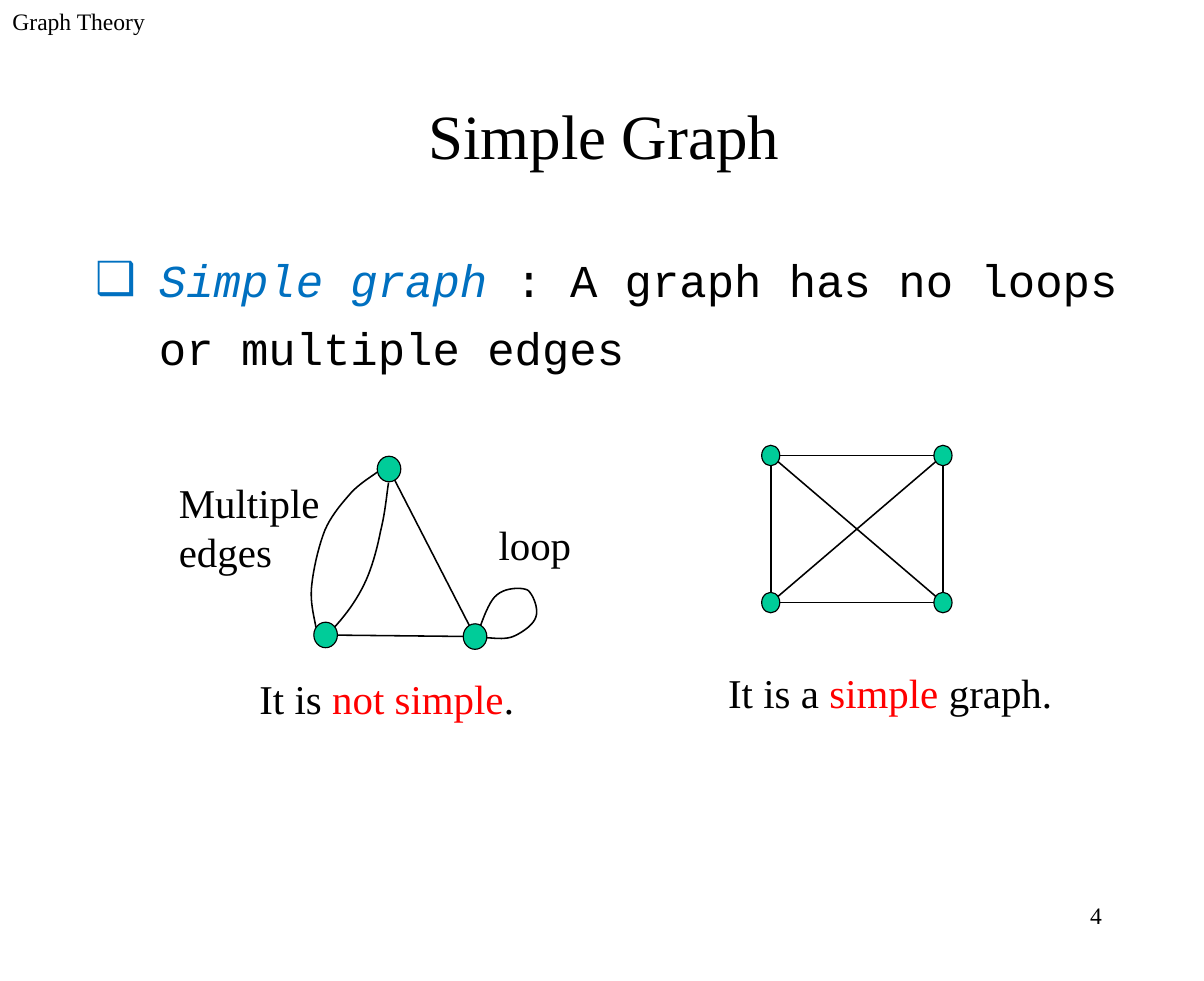
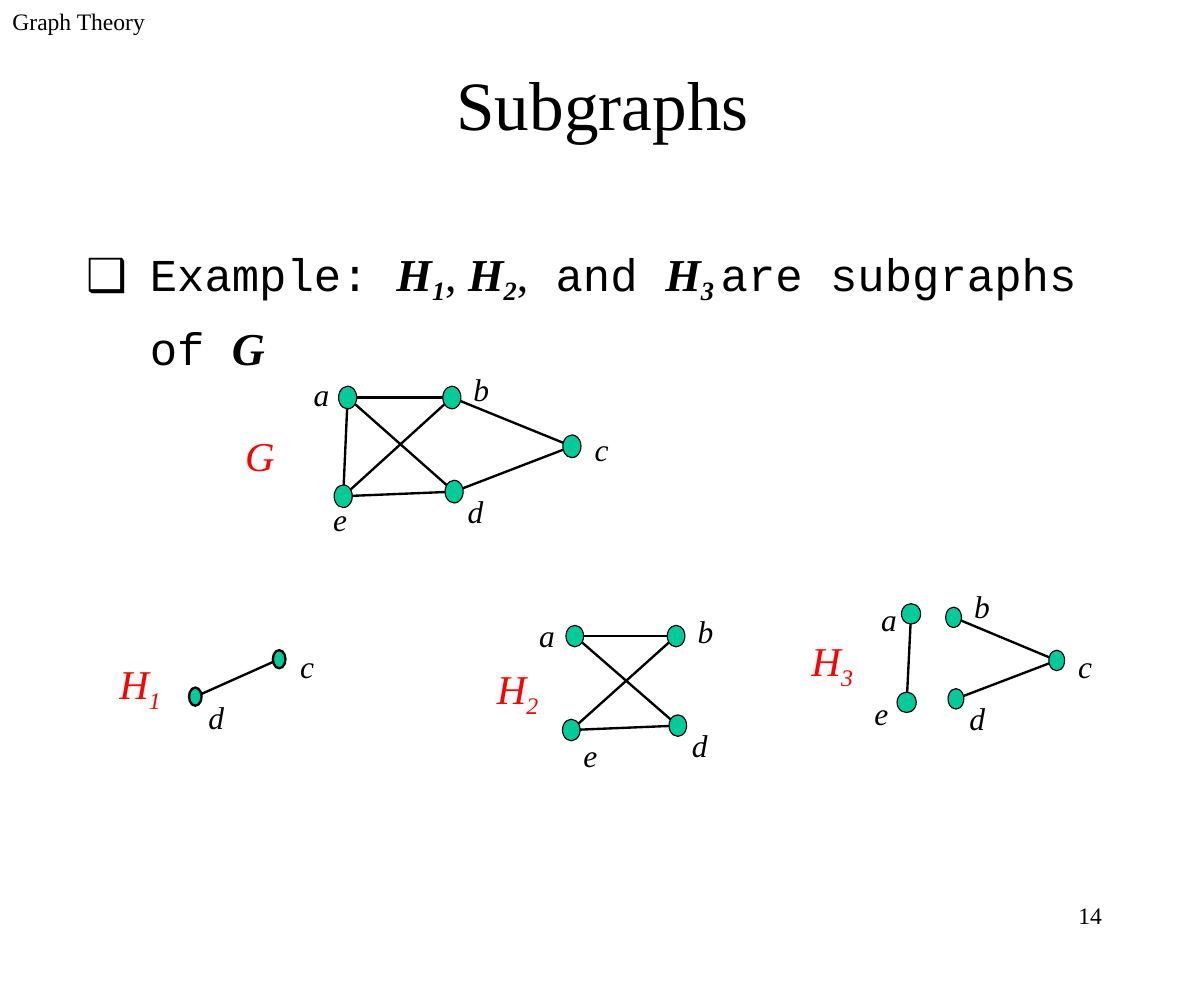
from itertools import combinations

from lxml.etree import SubElement
from pptx import Presentation
from pptx.dml.color import RGBColor
from pptx.enum.shapes import MSO_CONNECTOR as Link, MSO_SHAPE as Shape
from pptx.enum.text import MSO_ANCHOR as Anchor, MSO_AUTO_SIZE as Fit, PP_ALIGN as Align
from pptx.oxml.ns import qn
from pptx.util import Pt

BLACK, RED, BLUE, GREEN = "000000", "FF0000", "0070C0", "00CC99"
SERIF, MONO = "Times New Roman", "Courier New"
INSET_X, INSET_Y = 7.9, 4.3
INDENT = 40.5


def tint(code):
    return RGBColor.from_string(code)


def place(shape, box):
    shape.left, shape.top, shape.width, shape.height = map(Pt, box)


def frame(shape, anchor=Anchor.TOP):
    """Give a text frame the common margins and return its first paragraph."""
    text = shape.text_frame
    text.word_wrap = True
    text.auto_size = Fit.NONE
    text.vertical_anchor = anchor
    text.margin_left = text.margin_right = Pt(INSET_X)
    text.margin_top = text.margin_bottom = Pt(INSET_Y)
    return text.paragraphs[0]


def say(para, text, size, face=SERIF, color=BLACK, bold=False, ital=False, base=0):
    """Add one run; base is the baseline shift in percent."""
    run = para.add_run()
    run.text = text
    font = run.font
    font.size, font.name = Pt(size), face
    font.bold, font.italic = bold, ital
    font.color.rgb = tint(color)
    if base:
        run._r.get_or_add_rPr().set("baseline", str(base * 1000))


def label(slide, box, *runs, size=26, align=Align.LEFT, **look):
    """Text box of one paragraph; each run is a (text, style) pair."""
    para = frame(slide.shapes.add_textbox(*map(Pt, box)))
    para.alignment = align
    for text, style in runs:
        say(para, text, size, **{**look, **style})
    return para


def page(deck, number, title, size, title_box, body_box, mark, runs):
    """Slide with running head, page number, title and one bulleted line."""
    slide = deck.slides.add_slide(deck.slide_layouts[1])
    label(slide, (0, 0, 160, 42), ("Graph Theory", {}), size=15)
    label(slide, (548.5, 568, 160, 42), (str(number), {}), size=15, align=Align.RIGHT)

    head, body = slide.placeholders
    place(head, title_box)
    para = frame(head, Anchor.MIDDLE)
    para.alignment = Align.CENTER
    say(para, title, size)

    place(body, body_box)
    para = frame(body)
    para.line_spacing = 1.25
    para.space_before = Pt(0)
    props = para._p.get_or_add_pPr()
    props.set("marL", str(Pt(INDENT)))
    props.set("indent", str(-Pt(INDENT)))
    hue = SubElement(props, qn("a:buClr"))
    SubElement(hue, qn("a:srgbClr")).set("val", mark)
    SubElement(props, qn("a:buChar")).set("char", "❑")
    for text, style in runs:
        say(para, text, 29, **style)
    return slide


def ink(shape, width):
    shape.line.color.rgb = tint(BLACK)
    shape.line.width = Pt(width)


def graph(slide, origin, nodes, edges, size, width=1.5, rim=0.75):
    """Draw edges, then nodes: name -> (x, y) of the centre, from origin."""
    left, top = origin
    spots = {name: (left + x, top + y) for name, (x, y) in nodes.items()}
    for start, end in edges:
        ends = map(Pt, spots[start] + spots[end])
        edge = slide.shapes.add_connector(Link.STRAIGHT, *ends)
        ink(edge, width)
        SubElement(edge._element.spPr, qn("a:effectLst"))
    wide, high = size
    for x, y in spots.values():
        box = (x - wide / 2, y - high / 2, wide, high)
        node = slide.shapes.add_shape(Shape.OVAL, *map(Pt, box))
        node.shadow.inherit = False
        node.fill.solid()
        node.fill.fore_color.rgb = tint(GREEN)
        ink(node, rim)


def letters(slide, origin, nodes, shifts):
    """Write each node's name; shifts lead from node centre to box corner."""
    for name, (dx, dy) in shifts.items():
        x, y = nodes[name]
        box = (origin[0] + x + dx, origin[1] + y + dy, 32, 32)
        label(slide, box, (name, {}), size=20, ital=True)


def caption(slide, origin, drop, name, index=""):
    """Red name of a graph, with an optional subscript."""
    runs = [(name, {})]
    if index:
        runs.append((index, {"base": -25}))
    box = (origin[0], origin[1] + drop, 78, 43)
    label(slide, box, *runs, color=RED, ital=True)


def curve(slide, origin, dots, steps=10):
    """Open line through cubic pieces: start, then two handles and an end each."""
    trail = [dots[0]]
    for i in range(0, len(dots) - 1, 3):
        piece = dots[i:i + 4]
        for k in range(1, steps + 1):
            t = k / steps
            parts = ((1 - t) ** 3, 3 * t * (1 - t) ** 2, 3 * t * t * (1 - t), t ** 3)
            trail.append(tuple(sum(w * dot[axis] for w, dot in zip(parts, piece))
                               for axis in (0, 1)))
    trail = [(Pt(origin[0] + x), Pt(origin[1] + y)) for x, y in trail]
    pen = slide.shapes.build_freeform(*trail[0])
    pen.add_line_segments(trail[1:], close=False)
    line = pen.convert_to_shape()
    line.shadow.inherit = False
    line.fill.background()
    ink(line, 1)


def tangle(slide, origin):
    """Graph with two parallel edges and a loop."""
    nodes = {"top": (51.3, 8.1), "left": (11, 113.6), "right": (106, 114.6)}
    outer = [(43.8, 10.2), (40.9, 12.4), (33.7, 16.7), (27.9, 22.5),
             (22.2, 29), (15, 36.9), (10.6, 47), (6.3, 57.8), (2.7, 74.3),
             (2, 84.4), (1.3, 94.5), (4.2, 103.8), (4.9, 108.9)]
    inner = [(51, 16.7), (49.5, 26.8), (48.8, 36.2), (45.9, 47.7),
             (43.8, 58.5), (40.2, 72.2), (35.1, 82.2), (30.1, 92.3),
             (23.6, 101), (16.4, 108.9)]
    loop = [(109.3, 108.2), (110.7, 104.6), (115, 91.6), (120.1, 88),
            (125.1, 83.7), (135.2, 83), (139.5, 85.1), (143.1, 88),
            (146.7, 97.4), (144.6, 102.4), (143.1, 107.4), (135.2, 112.5),
            (130.2, 114.6), (124.4, 116.8), (117.2, 115.4), (113.6, 115.4)]
    for dots in (outer, inner, loop):
        curve(slide, origin, dots)
    graph(slide, origin, nodes, [("top", "right"), ("left", "right")], (15, 16.2), 1)


def square(slide, box):
    """Complete graph on the corners of the box."""
    left, top, wide, high = box
    nodes = {(i, j): (i * wide, j * high) for i in (0, 1) for j in (0, 1)}
    graph(slide, (left, top), nodes, combinations(nodes, 2), (11.5, 13), 1)


def simple(deck):
    slide = page(deck, 4, "Simple Graph", 40, (40.3, 42.5, 687, 85.7),
                 (52.6, 147, 679.7, 85.7), BLUE, [
                     ("Simple graph ", {"face": MONO, "color": BLUE, "ital": True}),
                     (": A graph has no loops or multiple edges", {"face": MONO})])
    tangle(slide, (196, 290))
    square(slide, (490, 289.5, 109.5, 93.5))
    label(slide, (309, 326.2, 68, 39), ("loop", {}))
    para = label(slide, (105.8, 299.5, 112.3, 70.6), ("Multiple", {}))
    para.add_line_break()
    say(para, "edges", 26)
    label(slide, (157, 424, 186, 39),
          ("It is ", {}), ("not simple", {"color": RED}), (".", {}))
    label(slide, (455, 419.8, 227, 39),
          ("It is a ", {}), ("simple", {"color": RED}), (" graph.", {}))


def parts(deck):
    mono = {"face": MONO}
    name = {"bold": True, "ital": True}
    sub = {**name, "base": -20}
    slide = page(deck, 14, "Subgraphs", 44, (57.6, 15, 651, 100.8),
                 (46.8, 142.6, 651, 433.4), BLACK, [
                     ("Example: ", mono), ("H", name), ("1", sub), (", ", {}),
                     ("H", name), ("2", sub), (",", {}), (" and ", mono),
                     ("H", name), ("3 ", sub), ("are subgraphs of ", mono),
                     ("G", name)])

    whole = (148, 231)
    nodes = {"a": (73, 21.7), "b": (139.3, 21.7), "c": (215.6, 52.7),
             "d": (140.7, 81.5), "e": (70.2, 84.4)}
    graph(slide, whole, nodes, ["ab", "ad", "ae", "bc", "be", "cd", "de"], (11.5, 14.4))
    letters(slide, whole, nodes, {
        "a": (-29.5, -18.7), "b": (5.7, -21.6), "c": (6.5, -14.4),
        "d": (0.7, -4.3), "e": (-14.4, -2.2)})
    caption(slide, whole, 38.3, "G")

    first = (68, 406)
    nodes = {"c": (109.5, 13), "d": (56.2, 36.8)}
    graph(slide, first, nodes, ["cd"], (8, 11.5), rim=1.5)
    letters(slide, first, nodes, {"c": (5.4, -12.2), "d": (0.4, -3.6)})
    caption(slide, first, 8, "H", "1")

    second = (308, 384)
    nodes = {"a": (57.4, 20.3), "b": (121.8, 20.3), "d": (122.9, 77.2), "e": (55.2, 80)}
    graph(slide, second, nodes, ["ab", "ad", "be", "de"], (11.2, 13.7))
    letters(slide, second, nodes, {
        "a": (-30.6, -16.9), "b": (5.8, -19.8), "d": (1.1, -4), "e": (-0.3, -0.3)})
    caption(slide, second, 33.6, "H", "2")

    third = (508, 368)
    pair = {"a": (71.2, 22.2), "e": (68.4, 78.4)}
    wedge = {"b": (98.2, 24.4), "c": (163.8, 51.8), "d": (99.7, 76.2)}
    graph(slide, third, pair, ["ae"], (12.2, 13))
    graph(slide, third, wedge, ["bc", "cd"], (10, 13))
    letters(slide, third, pair, {"a": (-27, -12.9), "e": (-28.5, -9.4)})
    letters(slide, third, wedge, {"b": (5.1, -23.8), "c": (5.7, -13), "d": (0.7, -4.3)})
    caption(slide, third, 31.6, "H", "3")


def main():
    deck = Presentation()
    deck.slide_width, deck.slide_height = Pt(765.4), Pt(623.5)
    simple(deck)
    parts(deck)
    deck.save("out.pptx")


if __name__ == "__main__":
    main()
